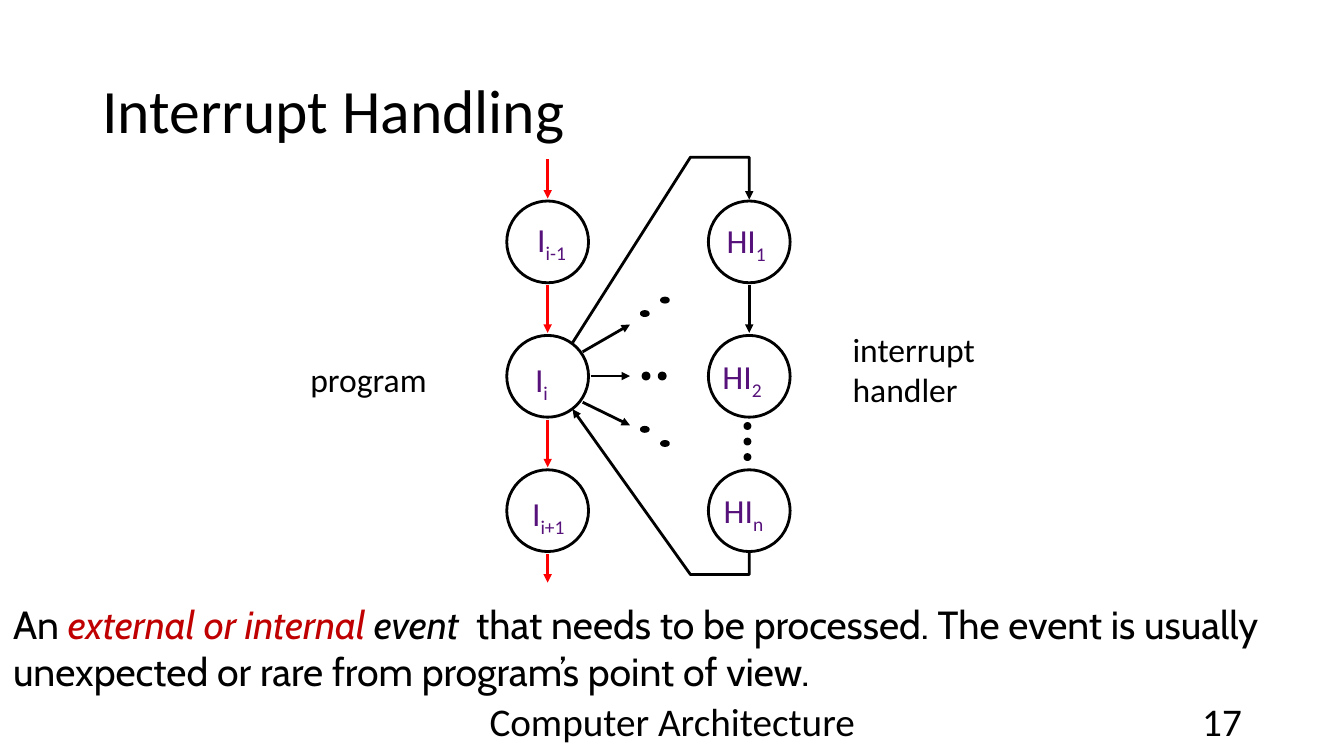
from lxml.etree import SubElement
from pptx import Presentation
from pptx.dml.color import RGBColor
from pptx.enum.shapes import MSO_CONNECTOR, MSO_SHAPE
from pptx.enum.text import MSO_ANCHOR, MSO_AUTO_SIZE, PP_ALIGN
from pptx.oxml.ns import qn
from pptx.util import Pt

BLACK = RGBColor(0x00, 0x00, 0x00)
WHITE = RGBColor(0xFF, 0xFF, 0xFF)
RED = RGBColor(0xFF, 0x00, 0x00)
CRIMSON = RGBColor(0xC0, 0x00, 0x00)
PURPLE = RGBColor(0x56, 0x12, 0x7A)

LEFT, RIGHT = 391.2, 535.2
ROWS = [172.8 + 96 * i for i in range(3)]
SIZE = 58.4
GAP = 31


def add_run(para, text, size, color=BLACK, font="Calibri", italic=False, sub=False):
    run = para.add_run()
    run.text = text
    run.font.size = Pt(size)
    run.font.name = font
    run.font.color.rgb = color
    if italic:
        run.font.italic = True
    if sub:
        run.font._element.set("baseline", "-25000")


def add_box(slide, x, y, w, h, wrap=False):
    box = slide.shapes.add_textbox(Pt(x), Pt(y), Pt(w), Pt(h))
    frame = box.text_frame
    frame.word_wrap = wrap
    frame.auto_size = MSO_AUTO_SIZE.SHAPE_TO_FIT_TEXT
    return frame


def add_title(slide, text):
    title = slide.shapes.title
    title.left, title.top = Pt(66), Pt(28.8)
    title.width, title.height = Pt(828), Pt(104.4)
    frame = title.text_frame
    frame.auto_size = MSO_AUTO_SIZE.NONE
    frame.vertical_anchor = MSO_ANCHOR.MIDDLE
    para = frame.paragraphs[0]
    para.alignment = PP_ALIGN.LEFT
    para.line_spacing = 0.9
    add_run(para, text, 44)


def add_foot(slide, text, x, w, align):
    frame = add_box(slide, x, 500.4, w, 28.8, True)
    frame.auto_size = MSO_AUTO_SIZE.NONE
    frame.vertical_anchor = MSO_ANCHOR.MIDDLE
    frame.paragraphs[0].alignment = align
    add_run(frame.paragraphs[0], text, 28)


def add_label(slide, lines, x, y, w, h=36.4):
    frame = add_box(slide, x, y, w, h)
    for i, line in enumerate(lines):
        para = frame.add_paragraph() if i else frame.paragraphs[0]
        add_run(para, line, 24)


def add_name(slide, base, index, x, y, w):
    para = add_box(slide, x, y, w, 36.4).paragraphs[0]
    add_run(para, base, 24, PURPLE)
    add_run(para, index, 24, PURPLE, sub=True)


def add_oval(slide, x, y, w, h, fill=None):
    oval = slide.shapes.add_shape(
        MSO_SHAPE.OVAL, Pt(x - w / 2), Pt(y - h / 2), Pt(w), Pt(h))
    oval.shadow.inherit = False
    if fill is None:
        oval.fill.background()
    else:
        oval.fill.solid()
        oval.fill.fore_color.rgb = fill
    oval.line.color.rgb = BLACK
    oval.line.width = Pt(2)


def set_line(shape, color, end):
    shape.line.color.rgb = color
    shape.line.width = Pt(2)
    props = shape._element.spPr
    SubElement(props.find(qn("a:ln")), qn(end)).set("type", "triangle")


def add_arrow(slide, x1, y1, x2, y2, color=BLACK):
    arrow = slide.shapes.add_connector(
        MSO_CONNECTOR.STRAIGHT, Pt(x1), Pt(y1), Pt(x2), Pt(y2))
    set_line(arrow, color, "a:tailEnd")
    SubElement(arrow._element.spPr, qn("a:effectLst"))


def add_path(slide, points, end):
    first, *rest = [(Pt(x), Pt(y)) for x, y in points]
    pen = slide.shapes.build_freeform(*first)
    pen.add_line_segments(rest, close=False)
    path = pen.convert_to_shape()
    path.shadow.inherit = False
    path.fill.background()
    set_line(path, BLACK, end)


def add_flow(slide):
    add_path(slide, [(409, 292.3), (493.2, 410.4), (RIGHT, 410.4), (RIGHT, 394)],
             "a:headEnd")
    for row in ROWS:
        add_oval(slide, LEFT, row, SIZE, SIZE)
        add_oval(slide, RIGHT, row, SIZE, SIZE, WHITE if row == ROWS[-1] else None)
    add_path(slide, [(409, 244.8), (493.2, 112.3), (RIGHT, 112.3), (RIGHT, 142.6)],
             "a:tailEnd")

    starts = [113.8] + [row + GAP for row in ROWS]
    ends = [row - GAP for row in ROWS] + [416.2]
    for top, low in zip(starts, ends):
        add_arrow(slide, LEFT, top, LEFT, low, RED)
    add_arrow(slide, RIGHT, starts[1], RIGHT, ends[1])

    for x, y, tip in [(416.2, 251.3, 231.8), (421.9, 268.6, 268.6), (416.2, 287.3, 303.8)]:
        add_arrow(slide, x, y, 450, tip)


def add_dots(slide):
    for x, y in [(460.6, 224), (475, 214.4), (460.6, 306.7), (475, 316.8)]:
        add_oval(slide, x, y, 5, 2.9, BLACK)
    for x in (461.5, 473):
        add_oval(slide, x, 268.6, 4.3, 4.3, BLACK)
    for i in range(3):
        add_oval(slide, 533.9, 304.3 + 11.1 * i, 3.6, 3.6, BLACK)


def main():
    deck = Presentation()
    deck.slide_width, deck.slide_height = Pt(960), Pt(540)
    slide = deck.slides.add_slide(deck.slide_layouts[5])

    add_title(slide, "Interrupt Handling")
    add_foot(slide, "Computer Architecture", 318.2, 324, PP_ALIGN.CENTER)
    add_foot(slide, "17", 678.2, 216, PP_ALIGN.RIGHT)
    add_flow(slide)
    add_dots(slide)

    for name in [
        ("I", "i-1", 376.6, 152.6, 37.4),
        ("I", "i", 375.1, 252.7, 24.5),
        ("I", "i+1", 373, 348.5, 40.3),
        ("HI", "1", 511.9, 153.4, 43.9),
        ("HI", "2", 509, 250.6, 43.9),
        ("HI", "n", 509.8, 346.3, 43.9),
    ]:
        add_name(slide, *name)
    add_label(slide, ["program"], 214.6, 252.7, 99.4)
    add_label(slide, ["interrupt", "handler"], 601.9, 231.1, 103, 65.5)

    para = add_box(slide, 2.2, 425.5, 960, 74.9, True).paragraphs[0]
    for text, color, italic in [
        ("An ", BLACK, False),
        ("external or internal ", CRIMSON, True),
        ("event ", BLACK, True),
        (" that needs to be processed. The event is usually unexpected "
         "or rare from program’s point of view.", BLACK, False),
    ]:
        add_run(para, text, 28, color, "Cabin", italic)

    deck.save("out.pptx")


if __name__ == "__main__":
    main()
